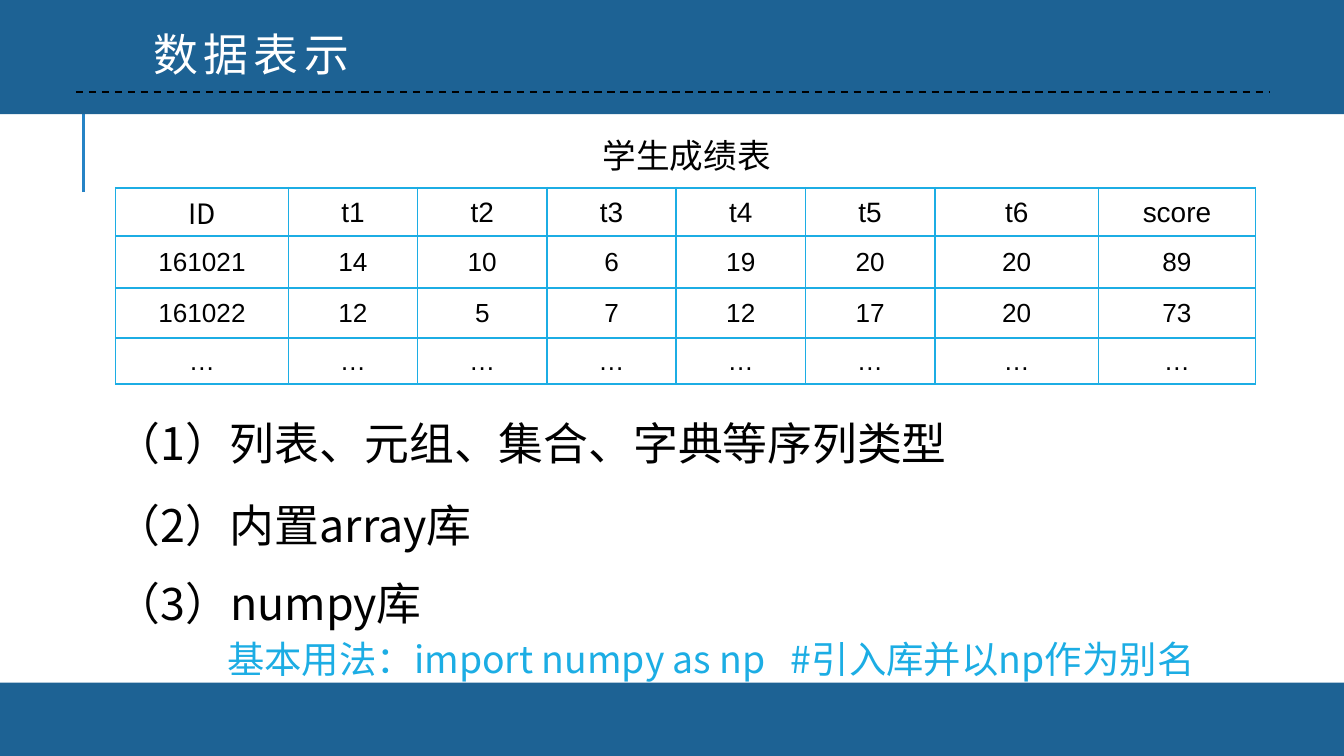
from lxml.etree import SubElement
from pptx import Presentation
from pptx.dml.color import RGBColor
from pptx.enum.dml import MSO_LINE
from pptx.enum.shapes import MSO_CONNECTOR, MSO_SHAPE
from pptx.enum.text import MSO_ANCHOR, MSO_AUTO_SIZE, PP_ALIGN
from pptx.oxml import parse_xml
from pptx.oxml.ns import nsdecls, qn
from pptx.util import Inches, Pt

CJK = "Noto Sans CJK SC"
BLUE, CYAN, BLACK, WHITE = "1D6294", "1CADE4", "000000", "FFFFFF"
COL = ROW = Inches(0.1)


def rgb(value):
    return RGBColor.from_string(value)


def write(tf, text, size=24, font=CJK, color=BLACK, align=PP_ALIGN.LEFT, leading=1.0, spacing=0):
    p = tf.paragraphs[0]
    p.alignment = align
    p.line_spacing = leading
    r = p.add_run()
    r.text = text
    r.font.size = Pt(size)
    r.font.color.rgb = rgb(color)
    r.font.name = font
    rPr = r.font._element
    SubElement(rPr, qn("a:ea")).set("typeface", font)
    if spacing:
        rPr.set("spc", str(spacing * 100))


prs = Presentation()
prs.slide_width = COL * 100
prs.slide_height = int(ROW * 56.25)
s = prs.slides.add_slide(prs.slide_layouts[6])
s.background.fill.solid()
s.background.fill.fore_color.rgb = rgb(WHITE)

rules = []
for x1, y1, x2, y2, color, width in [
    (6.22, 14.3, 6.22, 6.8, "2683C6", 1.5),
    (5.65, 6.83, 94.4, 6.83, BLACK, 1),
]:
    sp = s.shapes.add_connector(
        MSO_CONNECTOR.STRAIGHT, int(COL * x1), int(ROW * y1), int(COL * x2), int(ROW * y2)
    )
    sp.line.color.rgb = rgb(color)
    sp.line.width = Pt(width)
    SubElement(sp._element.spPr, qn("a:effectLst"))
    rules.append(sp)
margin_rule, header_rule = rules
header_rule.line.dash_style = MSO_LINE.DASH

for y, h in [(50.8, 5.45), (-0.3, 8.8)]:
    sp = s.shapes.add_shape(MSO_SHAPE.RECTANGLE, 0, int(ROW * y), prs.slide_width, int(ROW * h))
    sp.shadow.inherit = False
    sp.fill.solid()
    sp.fill.fore_color.rgb = rgb(BLUE)
    sp.line.fill.background()
s.shapes._spTree.append(header_rule._element)

sp = s.shapes.add_textbox(int(COL * 10.4), int(ROW * 1.5), int(COL * 17.2), ROW * 5)
sp.text_frame.word_wrap = False
sp.text_frame.auto_size = MSO_AUTO_SIZE.SHAPE_TO_FIT_TEXT
write(sp.text_frame, "数据表示", color=WHITE, spacing=3)

for x, y, h, text, fmt in [
    (8.6, 28.95, 6.1, "（1）列表、元组、集合、字典等序列类型", {}),
    (8.6, 35.05, 6.1, "（2）内置array库", {}),
    (8.6, 40.85, 6.1, "（3）numpy库", {}),
    (16.9, 45.7, 4.5, "基本用法：import numpy as np   #引入库并以np作为别名", {"size": 20, "color": CYAN}),
    (11.8, 8.55, 4, "学生成绩表", {"size": 18, "align": PP_ALIGN.CENTER}),
]:
    sp = s.shapes.add_textbox(int(COL * x), int(ROW * y), int(COL * 78.6), int(ROW * h))
    tf = sp.text_frame
    tf.word_wrap = True
    tf.auto_size = MSO_AUTO_SIZE.SHAPE_TO_FIT_TEXT
    tf.margin_left = tf.margin_top = tf.margin_right = tf.margin_bottom = 0
    write(tf, text, leading=1.5, **fmt)

scores = [
    ["ID", "t1", "t2", "t3", "t4", "t5", "t6", "score"],
    ["161021", "14", "10", "6", "19", "20", "20", "89"],
    ["161022", "12", "5", "7", "12", "17", "20", "73"],
    ["…"] * 8,
]
widths = [12.86] + [9.62] * 5 + [12.2, 11.66]
heights = [3.58, 3.88, 3.74, 3.4]
table = s.shapes.add_table(
    len(heights), len(widths), int(COL * 8.6), int(ROW * 13.97), int(COL * sum(widths)), int(ROW * sum(heights))
).table
table.first_row = table.horz_banding = False
for column, w in zip(table.columns, widths):
    column.width = int(COL * w)
for i, (row, h) in enumerate(zip(table.rows, heights)):
    row.height = int(ROW * h)
    for j, cell in enumerate(row.cells):
        cell.vertical_anchor = MSO_ANCHOR.MIDDLE
        cell.margin_left = cell.margin_top = cell.margin_right = Inches(0.01)
        cell.margin_bottom = 0
        cell.fill.background()
        tcPr = cell._tc.get_or_add_tcPr()
        for k, side in enumerate("LRTB"):
            tcPr.insert(k, parse_xml(
                f'<a:ln{side} {nsdecls("a")} w="{Pt(1)}"><a:solidFill>'
                f'<a:srgbClr val="{CYAN}"/></a:solidFill></a:ln{side}>'
            ))
        write(
            cell.text_frame,
            scores[i][j],
            size=15 if i == 0 else 14,
            font=CJK if i == j == 0 else "Arial",
            align=PP_ALIGN.CENTER,
        )

prs.save("out.pptx")
